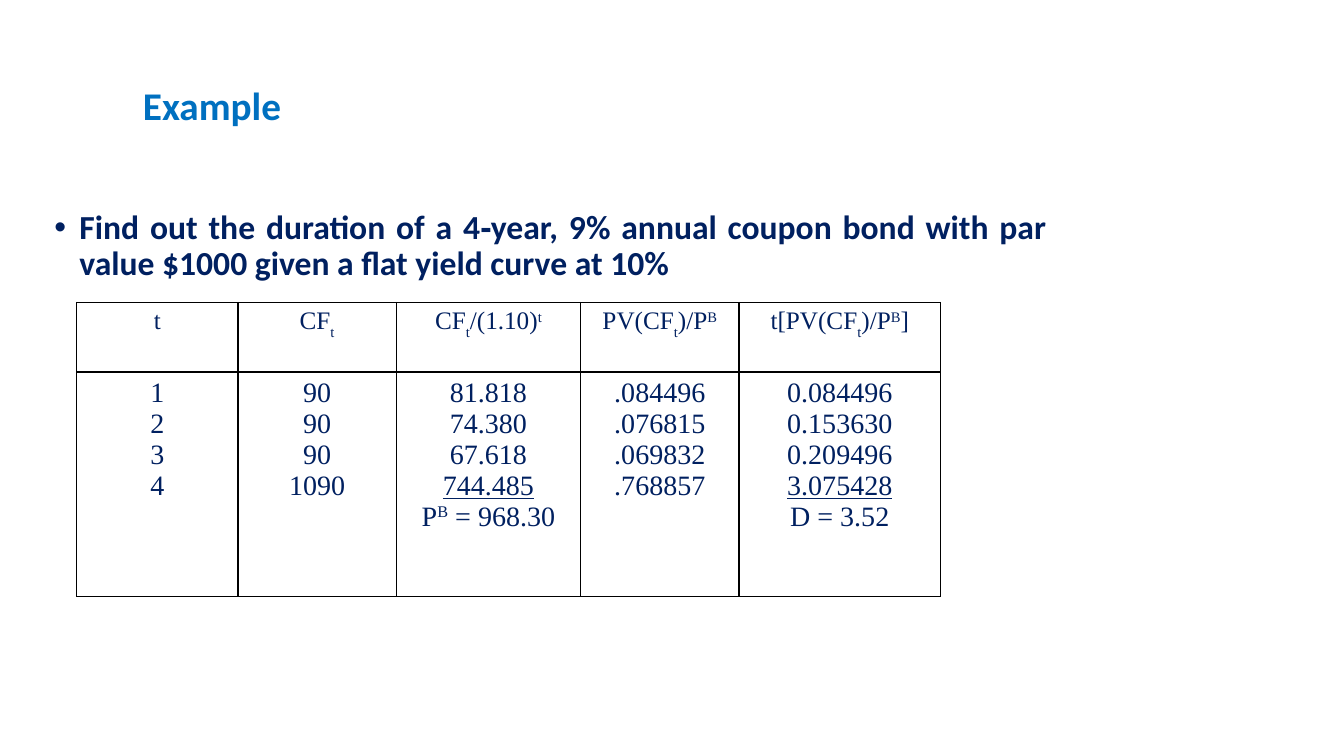
from lxml import etree
from pptx import Presentation
from pptx.dml.color import RGBColor
from pptx.enum.text import PP_ALIGN
from pptx.oxml.ns import qn
from pptx.util import Inches, Pt

CENTER, JUSTIFY = PP_ALIGN.CENTER, PP_ALIGN.JUSTIFY
NAVY = RGBColor(0x00, 0x20, 0x60)
BLUE = RGBColor(0x00, 0x70, 0xC0)
BLACK = RGBColor(0x00, 0x00, 0x00)
BLANK_LAYOUT = 6

# "_" lowers and "^" raises the next character; a leading "~" underlines the line.
SHIFTS = {"_": "-30000", "^": "30000"}
HEADINGS = ["t", "CF_t", "CF_t/(1.10)^t", "PV(CF_t)/P^B", "t[PV(CF_t)/P^B]"]
CASH_FLOWS = [
    ["1", "2", "3", "4"],
    ["90", "90", "90", "1090"],
    ["81.818", "74.380", "67.618", "~744.485", "P^B = 968.30"],
    [".084496", ".076815", ".069832", ".768857"],
    ["0.084496", "0.153630", "0.209496", "~3.075428", "D = 3.52"],
]
COLUMN_WIDTHS = [16, 15.7, 18.3, 15.7, 20]
ROW_HEIGHTS = [6.9, 22.3]


def grid(units):
    """Length of a number of grid units, each a tenth of an inch."""
    return Inches(units / 10)


def split_shifts(line):
    """Break a marked line into (text, baseline) pieces."""
    pieces, plain, marks = [], "", iter(line)
    for mark in marks:
        if mark in SHIFTS:
            pieces += [(plain, None), (next(marks), SHIFTS[mark])]
            plain = ""
        else:
            plain += mark
    return [piece for piece in pieces + [(plain, None)] if piece[0]]


def set_indent(paragraph, inches):
    properties = paragraph._p.get_or_add_pPr()
    properties.set("marL", str(Inches(inches)))
    properties.set("indent", str(-Inches(inches)))
    return properties


class SlideBuilder:
    heading_font = "Calibri"
    table_font = "Times New Roman"

    def __init__(self, slide):
        self.slide = slide

    def style(self, run, name, size, color, bold=False):
        font = run.font
        font.name, font.size, font.bold = name, Pt(size), bold
        font.color.rgb = color

    def text(self, words, box, size, color):
        frame = self.slide.shapes.add_textbox(*map(grid, box)).text_frame
        frame.word_wrap = True
        frame.text = words
        paragraph = frame.paragraphs[0]
        self.style(paragraph.runs[0], self.heading_font, size, color, bold=True)
        return paragraph

    def bullet(self, words, box, size, color):
        paragraph = self.text(words, box, size, color)
        paragraph.alignment = JUSTIFY
        paragraph.line_spacing = 0.9
        paragraph.space_before = Pt(10)
        properties = set_indent(paragraph, 0.25)
        etree.SubElement(properties, qn("a:buFont"), typeface="Arial")
        etree.SubElement(properties, qn("a:buChar"), char="•")

    def borders(self, cell):
        properties = cell._tc.get_or_add_tcPr()
        for place, side in enumerate(("a:lnL", "a:lnR", "a:lnT", "a:lnB")):
            line = etree.Element(qn(side), w=str(Pt(1)))
            fill = etree.SubElement(line, qn("a:solidFill"))
            etree.SubElement(fill, qn("a:srgbClr"), val=str(BLACK))
            properties.insert(place, line)

    def cell(self, cell, lines, size):
        cell.fill.background()
        self.borders(cell)
        frame = cell.text_frame
        frame.text = "\n".join(lines)
        for paragraph, line in zip(frame.paragraphs, lines):
            paragraph.text = ""
            paragraph.alignment = CENTER
            set_indent(paragraph, 0.38)
            for words, baseline in split_shifts(line.lstrip("~")):
                run = paragraph.add_run()
                run.text = words
                self.style(run, self.table_font, size, NAVY)
                if line.startswith("~"):
                    run.font.underline = True
                if baseline:
                    run._r.get_or_add_rPr().set("baseline", baseline)

    def table(self, left, top):
        table = self.slide.shapes.add_table(
            len(ROW_HEIGHTS), len(COLUMN_WIDTHS), grid(left), grid(top),
            grid(sum(COLUMN_WIDTHS)), grid(sum(ROW_HEIGHTS))).table
        table.first_row = table.horz_banding = False
        for row, height in zip(table.rows, ROW_HEIGHTS):
            row.height = grid(height)
        for index, width in enumerate(COLUMN_WIDTHS):
            table.columns[index].width = grid(width)
            self.cell(table.cell(0, index), [HEADINGS[index]], 18)
            self.cell(table.cell(1, index), CASH_FLOWS[index], 20)


def main():
    deck = Presentation()
    deck.slide_width, deck.slide_height = Inches(13.33), Inches(7.5)
    builder = SlideBuilder(deck.slides.add_slide(deck.slide_layouts[BLANK_LAYOUT]))
    builder.bullet(
        "Find out the duration of a 4‑year, 9% annual coupon bond with par "
        "value $1000 given a flat yield curve at 10%",
        (4.4, 20.4, 100.4, 35.6), 24, NAVY)
    builder.table(7.6, 30)
    builder.text("Example", (13.2, 7.6, 101.7, 5.7), 28, BLUE)
    deck.save("out.pptx")


if __name__ == "__main__":
    main()
